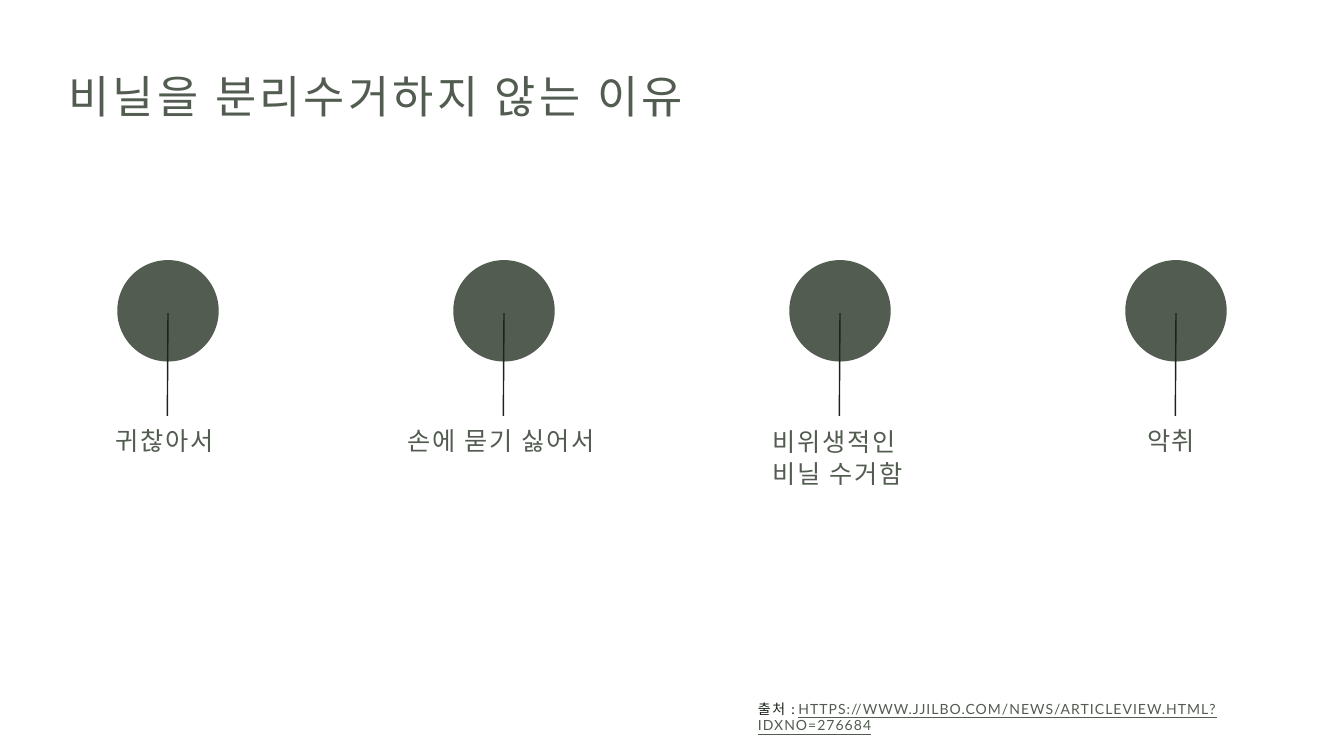
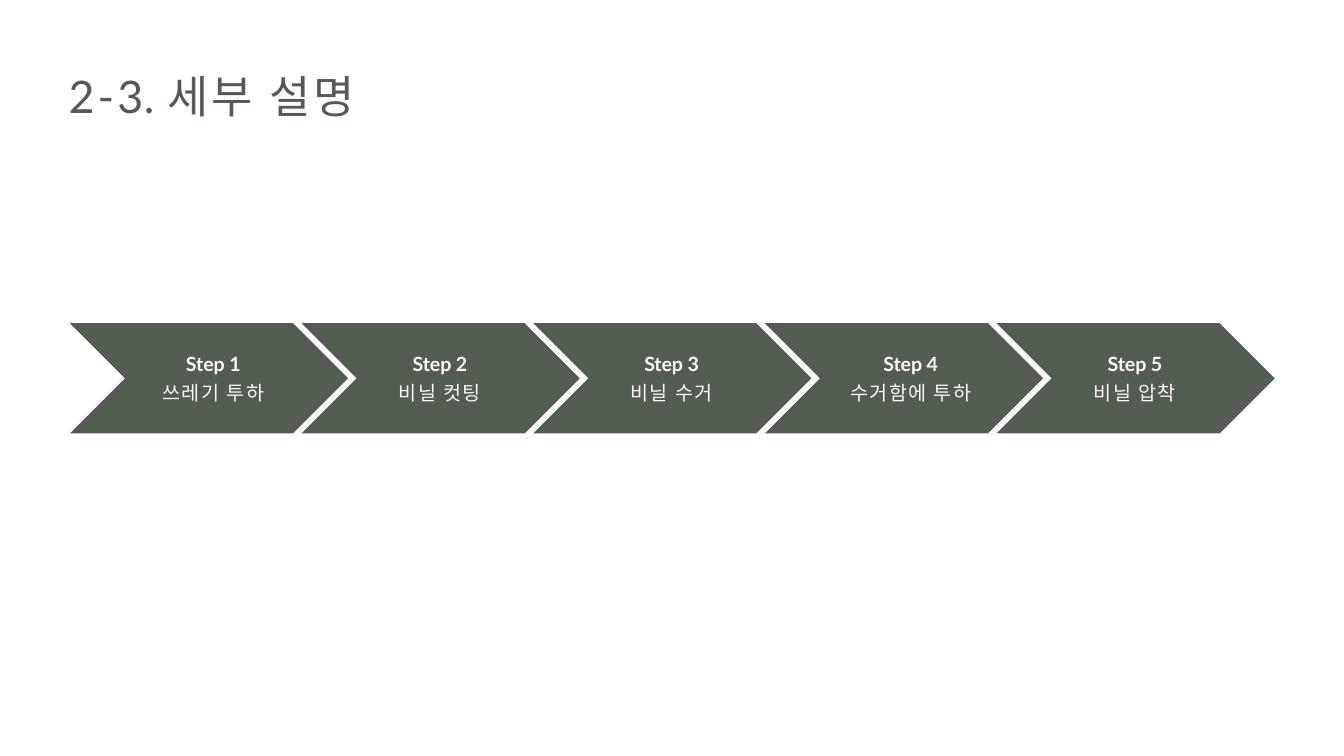
"""Build two slides: why vinyl goes unrecycled, and the five collection steps."""
import dataclasses

import pptx
import pptx.dml.color
import pptx.enum.shapes
import pptx.enum.text
import pptx.oxml
import pptx.oxml.ns
import pptx.util


@dataclasses.dataclass(frozen=True)
class Theme:
    moss: pptx.dml.color.RGBColor = pptx.dml.color.RGBColor(0x52, 0x5C, 0x50)
    ink: pptx.dml.color.RGBColor = pptx.dml.color.RGBColor(0x1A, 0x24, 0x1B)
    cream: pptx.dml.color.RGBColor = pptx.dml.color.RGBColor(0xF9, 0xF9, 0xF5)
    hangul: str = "Roboto"
    latin: str = "Lato"
    title_size: int = 48
    reason_size: int = 27
    step_size: int = 21
    source_size: int = 15


theme = Theme()
deck = pptx.Presentation()
COLUMNS, ROWS = 20, 11.25
CELL = pptx.util.Inches(1)
deck.slide_width = int(COLUMNS * CELL)
deck.slide_height = int(ROWS * CELL)


def set_box(shape, left, top, width, height, inset_top=0.01):
    """Place a text shape on the grid and give it the shared insets."""
    shape.left, shape.top, shape.width, shape.height = (
        int(cells * CELL) for cells in (left, top, width, height))
    frame = shape.text_frame
    frame.word_wrap = True
    frame.auto_size = pptx.enum.text.MSO_AUTO_SIZE.NONE
    frame.vertical_anchor = pptx.enum.text.MSO_ANCHOR.TOP
    frame.margin_left = frame.margin_right = frame.margin_bottom = 0
    frame.margin_top = int(inset_top * CELL)
    return frame


def write(paragraph, size, color, spans, align=pptx.enum.text.PP_ALIGN.LEFT):
    """Fill a paragraph with (text, typeface, letter spacing) spans."""
    paragraph.alignment = align
    for text, typeface, spacing in spans:
        run = paragraph.add_run()
        run.text = text
        run.font.name = typeface
        run.font.size = pptx.util.Pt(size)
        run.font.color.rgb = color
        run.font._element.set("spc", str(round(spacing * 100)))


titles = [
    [("비닐을 분리수거하지 않는 ", theme.hangul, 3.5), ("이유", theme.hangul, 3.2)],
    [("2-", theme.latin, 3.3), ("3. ", theme.latin, 0.8),
     ("세부 ", theme.hangul, 3.5), ("설명", theme.hangul, 3.2)],
]
for spans in titles:
    slide = deck.slides.add_slide(deck.slide_layouts[5])
    title = set_box(slide.shapes.title, 1.02, 1.01, 17.95, 1.55)
    write(title.paragraphs[0], theme.title_size, theme.moss, spans)
reasons_slide, steps_slide = deck.slides

reasons = [
    ("귀찮아서", 1.72, 1.84, 0.47),
    ("손에 묻기 싫어서", 1.06, 3.08, 0.47),
    ("비위생적인 비닐 수거함", 1.5, 2.29, 0.93),
    ("악취", 2.07, 1.2, 0.47),
]
reason_pitch = COLUMNS / len(reasons)
dot_size, dot_top = 1.51, 3.87
stem_top, stem_bottom = 4.66, 6.19
for index, (reason, offset, width, height) in enumerate(reasons):
    column = index * reason_pitch
    middle = column + reason_pitch / 2
    label = set_box(reasons_slide.shapes.add_textbox(0, 0, 0, 0),
                    column + offset, 6.32, width, height)
    write(label.paragraphs[0], theme.reason_size, theme.moss,
          [(reason, theme.hangul, 1.8)])
    if height > 0.5:
        label.paragraphs[0].line_spacing = pptx.util.Pt(33.8)

    dot = reasons_slide.shapes.add_shape(
        pptx.enum.shapes.MSO_SHAPE.OVAL, int((middle - dot_size / 2) * CELL),
        int(dot_top * CELL), int(dot_size * CELL), int(dot_size * CELL))
    dot.shadow.inherit = False
    dot.fill.solid()
    dot.fill.fore_color.rgb = theme.moss
    dot.line.fill.background()

    stem = reasons_slide.shapes.add_connector(
        pptx.enum.shapes.MSO_CONNECTOR.STRAIGHT,
        int((middle - 0.01) * CELL), int(stem_bottom * CELL),
        int(middle * CELL), int(stem_top * CELL))
    stem.line.color.rgb = theme.ink
    stem.line.width = pptx.util.Pt(1.5)
    stem._element.spPr.append(
        pptx.oxml.parse_xml(f"<a:effectLst {pptx.oxml.ns.nsdecls('a')}/>"))

source = set_box(reasons_slide.shapes.add_textbox(0, 0, 0, 0),
                 11.28, 10.41, 8.43, 0.28).paragraphs[0]
write(source, theme.source_size, theme.ink,
      [("출처 ", theme.hangul, 1.6), (": ", theme.latin, 0)])
write(source, theme.source_size, theme.moss,
      [("HTTPS://WWW.JJILBO.COM/NEWS/ARTICLEVIEW.HTML?IDXNO=276684",
        theme.latin, 1.1)])
source.runs[-1].font.underline = True

steps = [
    ("쓰레기 투하", 1.28, 1.71),
    ("비닐 컷팅", 1.43, 1.26),
    ("비닐 수거", 1.43, 1.26),
    ("수거함에 투하", 1.14, 2.06),
    ("비닐 압착", 1.43, 1.26),
]
arrow_left, arrow_top, arrow_width, arrow_height = 1.04, 4.81, 4.14, 1.64
arrows_right = 18.97
step_pitch = (arrows_right - arrow_left - arrow_width) / (len(steps) - 1)
center = pptx.enum.text.PP_ALIGN.CENTER
for index, (action, offset, width) in enumerate(steps):
    left = arrow_left + index * step_pitch
    arrow = steps_slide.shapes.add_shape(
        pptx.enum.shapes.MSO_SHAPE.CHEVRON, int(left * CELL),
        int(arrow_top * CELL), int(arrow_width * CELL), int(arrow_height * CELL))
    arrow.adjustments[0] = 0.5
    arrow.shadow.inherit = False
    arrow.fill.solid()
    arrow.fill.fore_color.rgb = theme.moss
    arrow.line.fill.background()

    caption = set_box(steps_slide.shapes.add_textbox(0, 0, 0, 0),
                      left + offset, 5.13, width, 0.9, inset_top=0.1)
    heading = caption.paragraphs[0]
    write(heading, theme.step_size, theme.cream,
          [(f"Step {index + 1}", theme.latin, -0.1)], center)
    heading.runs[0].font.bold = True
    detail = caption.add_paragraph()
    detail.space_before = pptx.util.Pt(6.3)
    write(detail, theme.step_size, theme.cream,
          [(action, theme.hangul, 1.5)], center)

deck.save("out.pptx")
